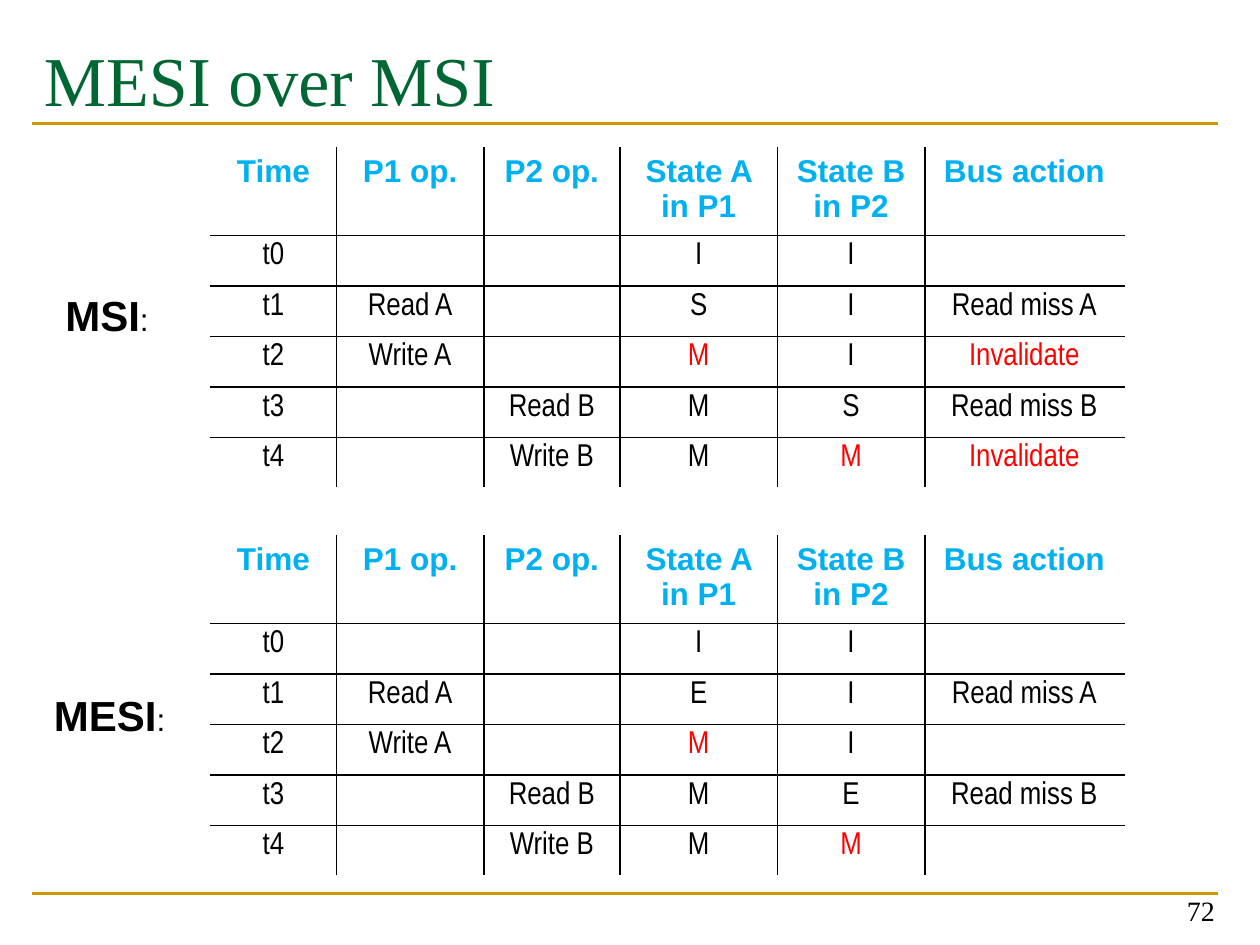
import pptx
import pptx.util
import pptx.dml.color
import pptx.enum.text
import pptx.enum.shapes
import pptx.oxml.ns
from lxml import etree

Inches, Pt = pptx.util.Inches, pptx.util.Pt
RGB = pptx.dml.color.RGBColor
ALIGN = pptx.enum.text.PP_ALIGN
ANCHOR = pptx.enum.text.MSO_ANCHOR

BLACK = RGB(0, 0, 0)
WHITE = RGB(255, 255, 255)
RED = RGB(255, 0, 0)
BLUE = RGB(0, 0xB0, 0xF0)
GREEN = RGB(0, 0x66, 0x33)
GOLD = RGB(0xCC, 0x99, 0)

HEAD = ["Time", "P1 op.", "P2 op.", "State A in P1", "State B in P2", "Bus action"]
MSI = [
    ["t0", "", "", "I", "I", ""],
    ["t1", "Read A", "", "S", "I", "Read miss A"],
    ["t2", "Write A", "", "M", "I", "Invalidate"],
    ["t3", "", "Read B", "M", "S", "Read miss B"],
    ["t4", "", "Write B", "M", "M", "Invalidate"],
]
MESI = [
    ["t0", "", "", "I", "I", ""],
    ["t1", "Read A", "", "E", "I", "Read miss A"],
    ["t2", "Write A", "", "M", "I", ""],
    ["t3", "", "Read B", "M", "E", "Read miss B"],
    ["t4", "", "Write B", "M", "M", ""],
]
HOT = {(3, 3), (3, 5), (5, 4), (5, 5)}
PARTS = [
    ("MSI", MSI, 1.17, (0.42, 2.25, 0.87, 0.5)),
    ("MESI", MESI, 4.25, (0.33, 5.42, 1.09, 0.5)),
]
COLS = [1, 1.17, 1.08, 1.25, 1.17, 1.58]
ROWS = [0.69, 0.39, 0.4, 0.4, 0.4, 0.4]
RULES = [0.98, 7.09]


def style(font, name, size, color, bold=False):
    font.name, font.size, font.bold = name, Pt(size), bold
    font.color.rgb = color


def add_text(slide, box, wrap=True):
    frame = slide.shapes.add_textbox(*map(Inches, box)).text_frame
    frame.word_wrap = wrap
    return frame


def add_rule(slide, y):
    rule = slide.shapes.add_connector(
        pptx.enum.shapes.MSO_CONNECTOR.STRAIGHT,
        Inches(0.25), Inches(y), Inches(9.67), Inches(y))
    rule.line.color.rgb = GOLD
    rule.line.width = Pt(1.5)
    etree.SubElement(rule.element.spPr, pptx.oxml.ns.qn("a:effectLst"))


def add_edge(cell, side, color):
    qn = pptx.oxml.ns.qn
    props = cell._tc.get_or_add_tcPr()
    line = etree.SubElement(props, qn("a:ln" + side), w=str(Pt(1)))
    fill = etree.SubElement(line, qn("a:solidFill"))
    etree.SubElement(fill, qn("a:srgbClr"), val=str(color))


def add_grid(slide, data, top):
    table = slide.shapes.add_table(
        len(ROWS), len(COLS), Inches(1.67), Inches(top),
        Inches(sum(COLS)), Inches(sum(ROWS))).table
    table.first_row = table.horz_banding = False
    for col, width in zip(table.columns, COLS):
        col.width = Inches(width)
    for row, height in zip(table.rows, ROWS):
        row.height = Inches(height)
    for r, texts in enumerate([HEAD] + data):
        for c, text in enumerate(texts):
            cell = table.cell(r, c)
            outer = {"L": c == 0, "R": c == len(COLS) - 1,
                     "T": r == 0, "B": r == len(ROWS) - 1}
            for side, out in outer.items():
                add_edge(cell, side, WHITE if out else BLACK)
            cell.fill.solid()
            cell.fill.fore_color.rgb = WHITE
            para = cell.text_frame.paragraphs[0]
            para.text = text
            para.alignment = ALIGN.CENTER
            if r == 0:
                style(para.font, "Arial", 18, BLUE, True)
            else:
                color = RED if (r, c) in HOT else BLACK
                style(para.font, "Arial Narrow", 18, color)


def add_label(slide, name, box):
    para = add_text(slide, box, False).paragraphs[0]
    for text, size, bold in [(name, 24, True), (":", 18, False)]:
        run = para.add_run()
        run.text = text
        style(run.font, "Arial", size, BLACK, bold)


def main():
    deck = pptx.Presentation()
    deck.slide_width, deck.slide_height = Inches(10), Inches(7.5)
    slide = deck.slides.add_slide(deck.slide_layouts[6])
    for y in RULES:
        add_rule(slide, y)

    title = add_text(slide, (0.25, 0.17, 9.42, 1.17))
    title.margin_top = Inches(0.12)
    title.text = "MESI over MSI"
    style(title.paragraphs[0].font, "Times New Roman", 40, GREEN)

    page = add_text(slide, (7.41, 6.91, 2.33, 0.5))
    page.vertical_anchor = ANCHOR.BOTTOM
    page.text = "72"
    page.paragraphs[0].alignment = ALIGN.RIGHT
    style(page.paragraphs[0].font, "Times New Roman", 16, BLACK)

    for name, data, top, box in PARTS:
        add_grid(slide, data, top)
        add_label(slide, name, box)
    deck.save("out.pptx")


if __name__ == "__main__":
    main()
